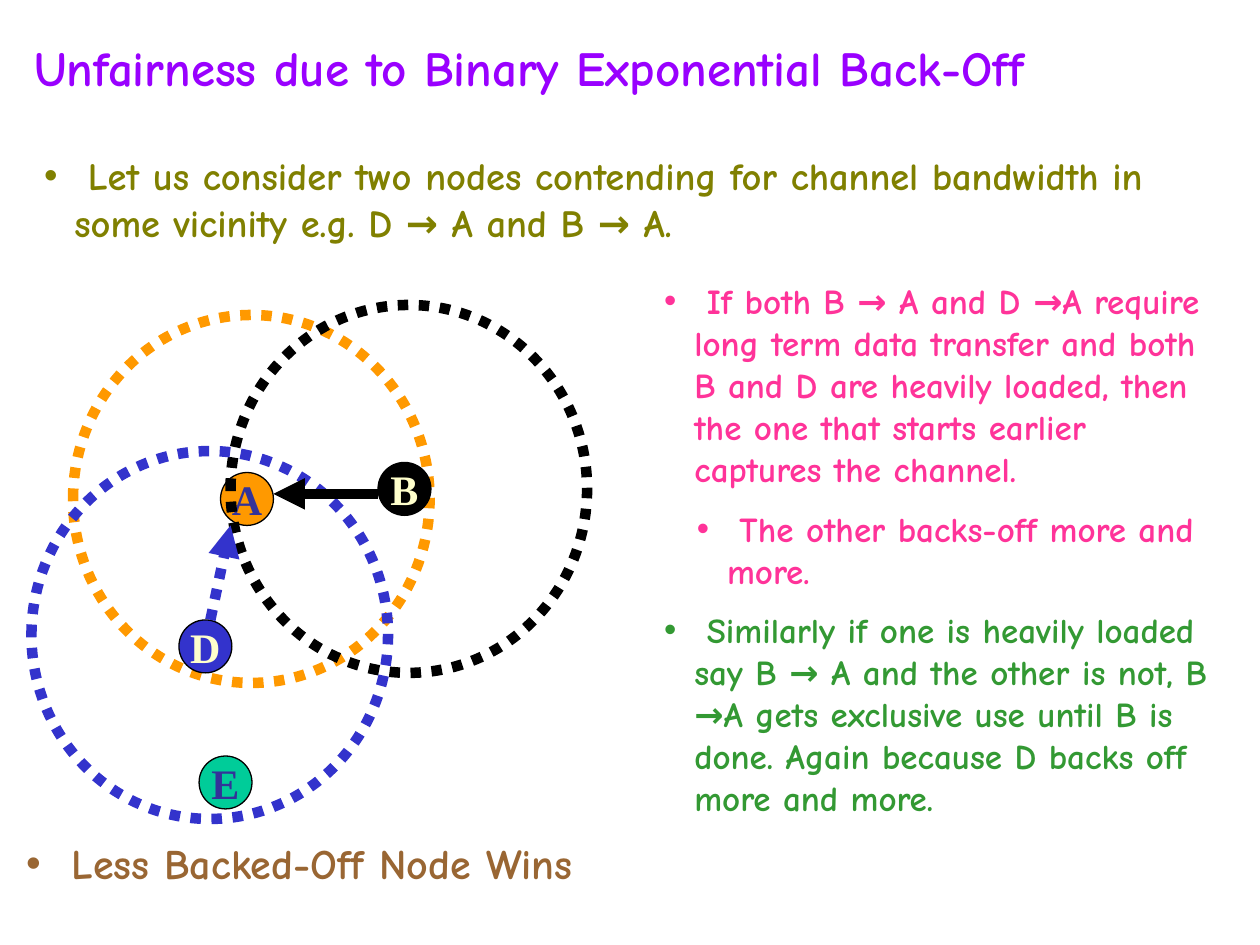
from lxml import etree
from pptx import Presentation
from pptx.dml.color import RGBColor
from pptx.enum.dml import MSO_LINE
from pptx.enum.shapes import MSO_CONNECTOR, MSO_SHAPE
from pptx.enum.text import MSO_ANCHOR, MSO_AUTO_SIZE, PP_ALIGN
from pptx.oxml.ns import qn
from pptx.util import Inches, Pt

DOTTED = MSO_LINE.ROUND_DOT
OVAL = MSO_SHAPE.OVAL
STRAIGHT = MSO_CONNECTOR.STRAIGHT
TOP, MIDDLE = MSO_ANCHOR.TOP, MSO_ANCHOR.MIDDLE
LEFT, CENTER = PP_ALIGN.LEFT, PP_ALIGN.CENTER
NO_AUTOFIT = MSO_AUTO_SIZE.NONE

COLORS = {
    "purple": "9900FF", "olive": "808000", "pink": "FF3399",
    "green": "339933", "brown": "996633", "orange": "FF9900",
    "black": "000000", "blue": "3333CC", "teal": "00CC99",
    "navy": "333399", "cream": "FFFFCC",
}
NODE_SIZE = 0.42
RANGE_WIDTH, RANGE_HEIGHT = 2.83, 2.92


def rgb(name):
    return RGBColor.from_string(COLORS[name])


class SlideBuilder:
    text_font = "Comic Neue"
    node_font = "Times New Roman"
    heavy_line = Pt(6)
    hanging = Inches(0.24)

    def __init__(self, slide):
        self.slide = slide

    def place(self, sp, left, top, width, height):
        sp.left, sp.top = Inches(left), Inches(top)
        sp.width, sp.height = Inches(width), Inches(height)
        tf = sp.text_frame
        tf.word_wrap = True
        tf.auto_size = NO_AUTOFIT
        tf.vertical_anchor = TOP

    def format_text(self, p, font, size, color, align):
        p.alignment = align
        for r in p.runs:
            r.font.name, r.font.size, r.font.bold = font, Pt(size), True
            r.font.color.rgb = rgb(color)

    def title(self, text, box, size, color):
        sp = self.slide.shapes.title
        self.place(sp, *box)
        sp.text_frame.text = text
        self.format_text(sp.text_frame.paragraphs[0], self.text_font, size, color, LEFT)

    def bullets(self, sp, box, size, items, align=LEFT):
        """Fill a shape with bullets; each item is (text, level, color)."""
        self.place(sp, *box)
        tf = sp.text_frame
        for i, (text, level, color) in enumerate(items):
            p = tf.add_paragraph() if i else tf.paragraphs[0]
            p.text = text
            p.level = level
            p.space_before = Pt(size / 2)
            self.format_text(p, self.text_font, size, color, align)
            pPr = p._p.get_or_add_pPr()
            margin = Inches(0.5) if level else self.hanging
            pPr.set("marL", str(margin))
            pPr.set("indent", str(-self.hanging))
            etree.SubElement(pPr, qn("a:buFont"), typeface="Arial")
            etree.SubElement(pPr, qn("a:buChar"), char="•")

    def node(self, letter, left, top, fill, color):
        size = Inches(NODE_SIZE)
        sp = self.slide.shapes.add_shape(OVAL, Inches(left), Inches(top), size, size)
        sp.shadow.inherit = False
        sp.fill.solid()
        sp.fill.fore_color.rgb = rgb(fill)
        sp.line.color.rgb = rgb("black")
        sp.line.width = Pt(0.75)
        tf = sp.text_frame
        tf.text = letter
        tf.word_wrap = False
        tf.vertical_anchor = MIDDLE
        self.format_text(tf.paragraphs[0], self.node_font, 24, color, CENTER)

    def radio_range(self, left, top, color):
        sp = self.slide.shapes.add_shape(
            OVAL, Inches(left), Inches(top), Inches(RANGE_WIDTH), Inches(RANGE_HEIGHT))
        sp.shadow.inherit = False
        sp.fill.background()
        sp.line.color.rgb = rgb(color)
        sp.line.width = self.heavy_line
        sp.line.dash_style = DOTTED

    def arrow(self, start, end, color, dotted=False):
        line = self.slide.shapes.add_connector(
            STRAIGHT, *(Inches(v) for v in start + end))
        line.line.color.rgb = rgb(color)
        line.line.width = self.heavy_line
        if dotted:
            line.line.dash_style = DOTTED
        etree.SubElement(line.line._get_or_add_ln(), qn("a:tailEnd"), type="triangle")
        etree.SubElement(line._element.spPr, qn("a:effectLst"))


def main():
    prs = Presentation()
    prs.slide_width, prs.slide_height = Inches(10), Inches(7.5)
    s = prs.slides.add_slide(prs.slide_layouts.get_by_name("Two Content"))
    builder = SlideBuilder(s)
    _, intro, details = s.placeholders

    builder.title("Unfairness due to Binary Exponential Back-Off",
                  (0.17, 0.25, 9.33, 0.57), 28, "purple")
    builder.bullets(intro, (0.25, 1.16, 9.33, 0.83), 22, [
        (" Let us consider two nodes contending for channel bandwidth in "
         "some vicinity e.g. D → A and B → A.", 0, "olive"),
    ])

    builder.node("A", 1.75, 3.75, "orange", "navy")
    builder.radio_range(0.58, 2.5, "orange")
    builder.node("B", 3, 3.67, "black", "cream")
    builder.radio_range(1.83, 2.42, "black")
    builder.node("D", 1.42, 4.92, "blue", "cream")
    builder.node("E", 1.58, 6, "teal", "navy")
    builder.radio_range(0.25, 3.58, "blue")
    builder.arrow((3, 3.92), (2.17, 3.92), "black")
    builder.arrow((1.67, 4.92), (1.83, 4.17), "blue", dotted=True)

    builder.bullets(details, (5.17, 2.17, 4.58, 5.1), 20, [
        (" If both B → A and D →A require long term data transfer and both "
         "B and D are heavily loaded, then the one that starts earlier "
         "captures the channel.", 0, "pink"),
        (" The other backs-off more and more.", 1, "pink"),
        (" Similarly if one is heavily loaded say B → A and the other is not, "
         "B →A gets exclusive use until B is done. Again because D backs off "
         "more and more.", 0, "green"),
    ])
    conclusion = s.shapes.add_textbox(0, 0, 0, 0)
    builder.bullets(conclusion, (0, 6.6, 4.75, 0.9), 24,
                    [(" Less Backed-Off Node Wins", 0, "brown")], CENTER)
    prs.save("out.pptx")


if __name__ == "__main__":
    main()
